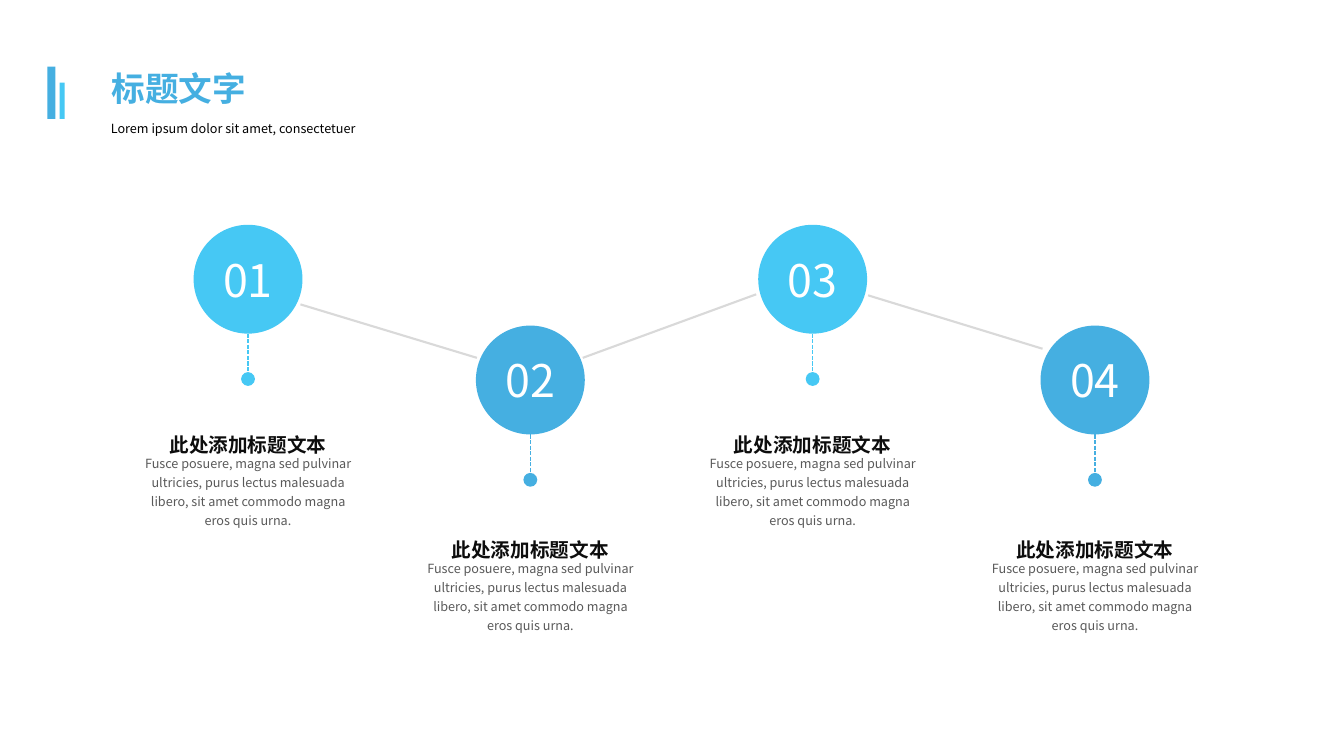
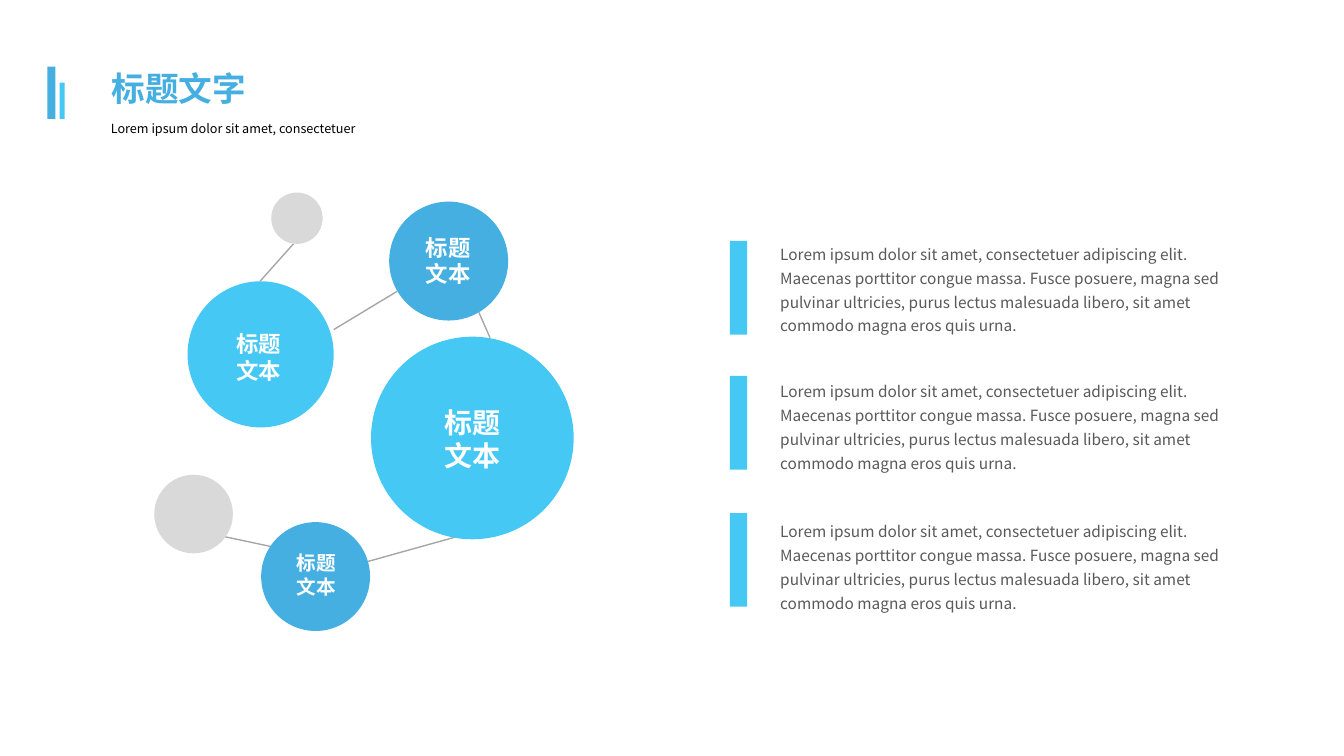
import pptx
import pptx.dml.color
import pptx.enum.dml
import pptx.enum.shapes
import pptx.enum.text
import pptx.oxml.ns
import pptx.util
from lxml import etree
from pptx.util import Inches

FONT = "Noto Sans CJK SC"
COLORS = {
    "blue": "45AFE1",
    "sky": "46C8F4",
    "light": "D9D9D9",
    "link": "A6A6A6",
    "gray": "595959",
    "dark": "0D0D0D",
    "black": "000000",
    "white": "FFFFFF",
}
RGB = {name: pptx.dml.color.RGBColor.from_string(code) for name, code in COLORS.items()}
ALIGN = pptx.enum.text.PP_ALIGN
ANCHOR = pptx.enum.text.MSO_ANCHOR
FIT = pptx.enum.text.MSO_AUTO_SIZE
SHAPE = pptx.enum.shapes.MSO_SHAPE
qn = pptx.oxml.ns.qn


def format_shape(shape, text="", fill=None, size=9, color="gray", bold=False, align=ALIGN.CENTER,
                 anchor=ANCHOR.TOP, spacing=1.0, after=0, wrap=True):
    if fill:
        shape.shadow.inherit = False
        shape.fill.solid()
        shape.fill.fore_color.rgb = RGB[fill]
        shape.line.fill.background()
    if not text:
        return
    frame = shape.text_frame
    frame.text = text
    frame.word_wrap = wrap
    frame.auto_size = FIT.NONE if fill else FIT.SHAPE_TO_FIT_TEXT
    frame.vertical_anchor = anchor
    for paragraph in frame.paragraphs:
        paragraph.alignment = align
        paragraph.line_spacing = spacing
        paragraph.space_before = pptx.util.Pt(0)
        paragraph.space_after = pptx.util.Pt(after)
        for run in paragraph.runs:
            run.font.size = pptx.util.Pt(size)
            run.font.bold = bold
            run.font.color.rgb = RGB[color]
            run.font.name = FONT
            etree.SubElement(run._r.get_or_add_rPr(), qn("a:ea"), typeface=FONT)


def add_line(slide, start_x, start_y, end_x, end_y, color, width=1.0, dotted=False):
    connector = slide.shapes.add_connector(
        pptx.enum.shapes.MSO_CONNECTOR.STRAIGHT,
        Inches(start_x), Inches(start_y), Inches(end_x), Inches(end_y))
    connector.line.color.rgb = RGB[color]
    connector.line.width = pptx.util.Pt(width)
    if dotted:
        connector.line.dash_style = pptx.enum.dml.MSO_LINE.SQUARE_DOT
        etree.SubElement(connector.line._get_or_add_ln(), qn("a:tailEnd"), type="oval", w="lg", len="lg")
    etree.SubElement(connector._element.spPr, qn("a:effectLst"))


presentation = pptx.Presentation()
presentation.slide_width = Inches(13.33)
presentation.slide_height = Inches(7.5)
layout = presentation.slide_layouts[2]
steps_slide = presentation.slides.add_slide(layout)
network_slide = presentation.slides.add_slide(layout)

for slide in (steps_slide, network_slide):
    title = slide.shapes.title
    title.left, title.top, title.width, title.height = map(Inches, (1, 0.42, 1.55, 0.64))
    format_shape(title, "标题文字", size=24, color="blue", bold=True, spacing=1.5, wrap=False)
    subtitle = slide.placeholders[1]
    subtitle.left, subtitle.top, subtitle.width, subtitle.height = map(Inches, (1, 1, 4.01, 0.36))
    format_shape(subtitle, "Lorem ipsum dolor sit amet, consectetuer", color="black",
                 align=ALIGN.LEFT, spacing=2.0, after=10)
    for left, top, width, height, fill in ((0.47, 0.66, 0.08, 0.52, "blue"), (0.59, 0.82, 0.05, 0.36, "sky")):
        bar = slide.shapes.add_shape(SHAPE.RECTANGLE, Inches(left), Inches(top), Inches(width), Inches(height))
        format_shape(bar, fill=fill)

for ends in ((2.98, 3.02, 4.73, 3.55), (5.78, 3.55, 7.5, 2.92), (8.61, 2.93, 10.34, 3.46)):
    add_line(steps_slide, *ends, "light", 1.5)

STEP_TEXT = ("Fusce posuere, magna sed pulvinar ultricies, purus lectus malesuada libero, "
             "sit amet commodo magna eros quis urna.")
DIAMETER = 1.08
for index in range(4):
    lowered = index % 2
    color = "blue" if lowered else "sky"
    center = 2.46 + 2.8 * index
    circle_top = 2.23 + lowered
    circle_bottom = circle_top + DIAMETER
    heading_top = 4.19 + 1.04 * lowered
    circle = steps_slide.shapes.add_shape(
        SHAPE.OVAL, Inches(center - DIAMETER / 2), Inches(circle_top), Inches(DIAMETER), Inches(DIAMETER))
    format_shape(circle, f"{index + 1:02}", fill=color, size=32, color="white", anchor=ANCHOR.MIDDLE)
    add_line(steps_slide, center, circle_bottom, center, circle_bottom + 0.45, color, dotted=True)
    heading = steps_slide.shapes.add_textbox(
        Inches(center - 0.885), Inches(heading_top), Inches(1.77), Inches(0.37))
    format_shape(heading, "此处添加标题文本", size=14, color="dark", bold=True, spacing=1.25, wrap=False)
    description = steps_slide.shapes.add_textbox(
        Inches(center - 1.16), Inches(heading_top + 0.25), Inches(2.32), Inches(0.84))
    format_shape(description, STEP_TEXT, spacing=1.25)

for ends in (
    (2.91, 2.42, 2.58, 2.79),
    (2.82, 5.45, 2.02, 5.28),
    (4.51, 5.33, 3.65, 5.57),
    (4.86, 3.35, 4.75, 3.1),
    (3.94, 2.89, 3.31, 3.27),
):
    add_line(network_slide, *ends, "link")

for left, top, diameter, fill in (
    (3.86, 2, 1.18, "blue"),
    (1.86, 2.79, 1.45, "sky"),
    (2.69, 1.91, 0.51, "light"),
    (2.59, 5.18, 1.08, "blue"),
    (1.53, 4.71, 0.78, "light"),
    (3.68, 3.34, 2.01, "sky"),
):
    circle = network_slide.shapes.add_shape(
        SHAPE.OVAL, Inches(left), Inches(top), Inches(diameter), Inches(diameter))
    format_shape(circle, fill=fill)

for left, top, width, height, size in (
    (2.18, 3.23, 0.77, 0.76, 16),
    (4.31, 3.97, 0.76, 0.77, 20),
    (4.06, 2.27, 0.77, 0.76, 16),
    (2.78, 5.42, 0.71, 0.68, 14),
):
    label = network_slide.shapes.add_textbox(Inches(left), Inches(top), Inches(width), Inches(height))
    format_shape(label, "标题\n文本", size=size, color="white", bold=True, wrap=False)

NOTE_TEXT = ("Lorem ipsum dolor sit amet, consectetuer adipiscing elit. Maecenas porttitor congue massa. "
             "Fusce posuere, magna sed pulvinar ultricies, purus lectus malesuada libero, "
             "sit amet commodo magna eros quis urna.")
for bar_top, text_top in ((2.39, 2.33), (3.73, 3.69), (5.09, 5.08)):
    bar = network_slide.shapes.add_shape(
        SHAPE.RECTANGLE, Inches(7.24), Inches(bar_top), Inches(0.17), Inches(0.93))
    format_shape(bar, fill="sky")
    note = network_slide.shapes.add_textbox(Inches(7.64), Inches(text_top), Inches(4.76), Inches(0.8))
    format_shape(note, NOTE_TEXT, size=11, align=ALIGN.LEFT, spacing=pptx.util.Pt(17))

presentation.save("out.pptx")
